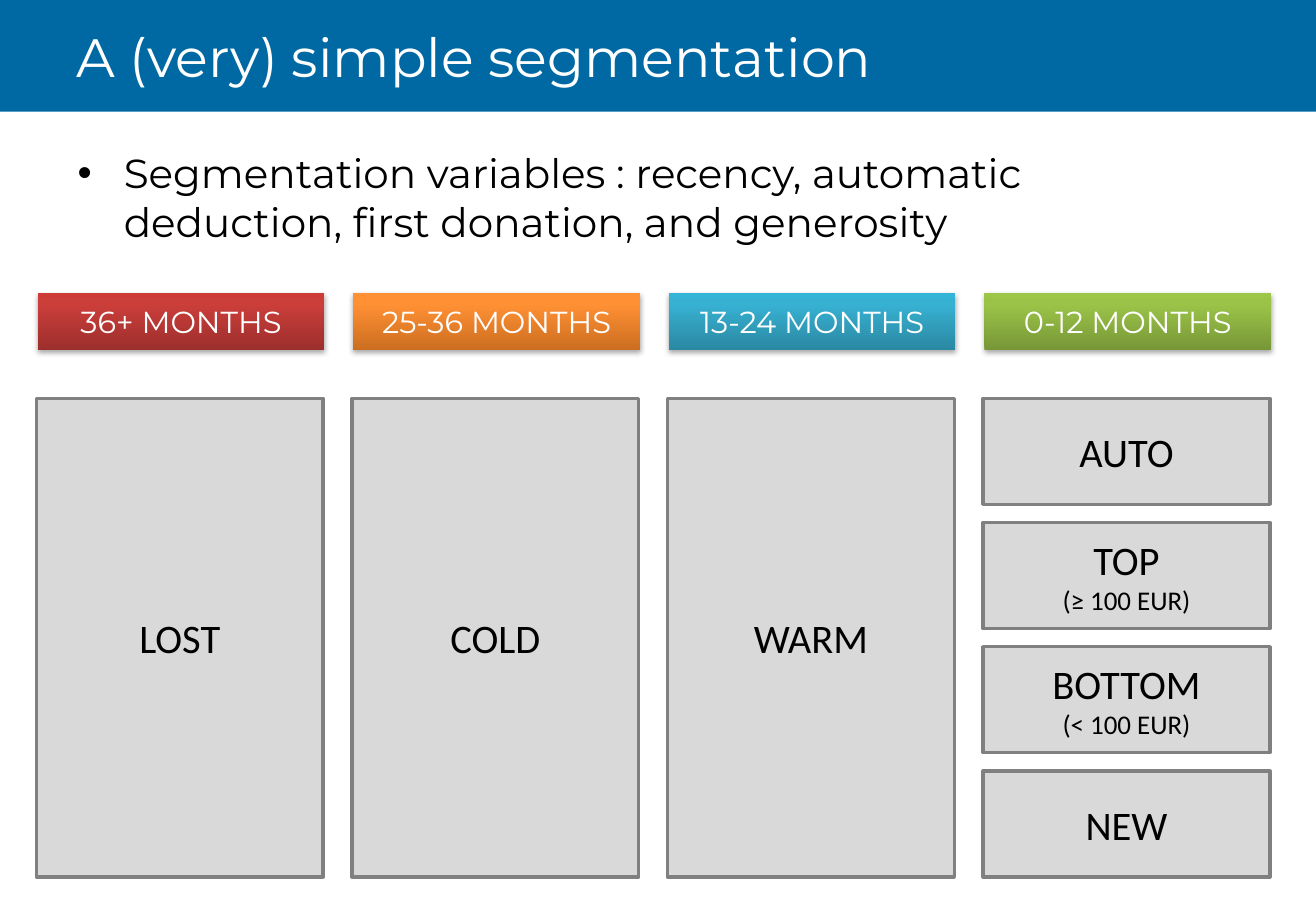
from dataclasses import dataclass

from pptx import Presentation
from pptx.dml.color import RGBColor
from pptx.enum.shapes import MSO_SHAPE
from pptx.enum.text import MSO_ANCHOR, MSO_AUTO_SIZE, PP_ALIGN
from pptx.oxml import parse_xml
from pptx.oxml.ns import nsdecls, qn
from pptx.shapes.autoshape import Shape
from pptx.slide import Slide
from pptx.util import Inches, Pt

BLUE = RGBColor(0x00, 0x68, 0xA2)
WHITE = RGBColor(0xFF, 0xFF, 0xFF)
BLACK = RGBColor(0x00, 0x00, 0x00)
LIGHT_GREY = RGBColor(0xD9, 0xD9, 0xD9)
MID_GREY = RGBColor(0x80, 0x80, 0x80)
RED_SHADES = (RGBColor(0x9C, 0x2F, 0x2D), RGBColor(0xCB, 0x3E, 0x3A), RGBColor(0xCE, 0x3B, 0x37))
ORANGE_SHADES = (RGBColor(0xCC, 0x6E, 0x20), RGBColor(0xFF, 0x90, 0x34), RGBColor(0xFF, 0x91, 0x36))
TEAL_SHADES = (RGBColor(0x2A, 0x88, 0xA2), RGBColor(0x37, 0xB1, 0xD2), RGBColor(0x34, 0xB4, 0xD6))
GREEN_SHADES = (RGBColor(0x77, 0x97, 0x37), RGBColor(0x9B, 0xC3, 0x48), RGBColor(0x9D, 0xC7, 0x46))
SHADE_STOPS = (0, 80, 100)

HEADING_FONT = "Montserrat"
SEGMENT_FONT = "Calibri"

PAGE_WIDTH, PAGE_HEIGHT, BAND_HEIGHT = 10.83, 7.5, 0.92
TEXT_WIDTH = 9.75
COLUMN_LEFT, COLUMN_PITCH, COLUMN_WIDTH = 0.3, 2.597, 2.36
HEADER_TOP, HEADER_HEIGHT = 2.41, 0.47
SEGMENT_TOP, SEGMENT_AREA, SEGMENT_GAP = 3.28, 3.94, 0.15


@dataclass(frozen=True)
class Segment:
    name: str
    detail: str = ""


@dataclass(frozen=True)
class Period:
    label: str
    shades: tuple[RGBColor, ...]
    segments: tuple[Segment, ...]


PERIODS = (
    Period("36+ MONTHS", RED_SHADES, (Segment("LOST"),)),
    Period("25-36 MONTHS", ORANGE_SHADES, (Segment("COLD"),)),
    Period("13-24 MONTHS", TEAL_SHADES, (Segment("WARM"),)),
    Period("0-12 MONTHS", GREEN_SHADES, (
        Segment("AUTO"),
        Segment("TOP", "(≥ 100 EUR)"),
        Segment("BOTTOM", "(< 100 EUR)"),
        Segment("NEW"),
    )),
)


def add_box(page: Slide, left: float, top: float, width: float, height: float) -> Shape:
    box = page.shapes.add_shape(
        MSO_SHAPE.RECTANGLE, Inches(left), Inches(top), Inches(width), Inches(height))
    box.shadow.inherit = False
    box.line.fill.background()
    box.text_frame.vertical_anchor = MSO_ANCHOR.MIDDLE
    return box


def write_line(box: Shape, text: str, size: float, font: str, color: RGBColor,
               align: PP_ALIGN = PP_ALIGN.CENTER, first: bool = True):
    frame = box.text_frame
    para = frame.paragraphs[0] if first else frame.add_paragraph()
    para.text = text
    para.alignment = align
    para.font.name = font
    para.font.size = Pt(size)
    para.font.color.rgb = color
    return para


def add_title(page: Slide) -> None:
    band = add_box(page, 0, 0, PAGE_WIDTH, BAND_HEIGHT)
    band.fill.solid()
    band.fill.fore_color.rgb = BLUE
    title = page.shapes.title
    title._element.addprevious(band._element)
    title.left, title.top = Inches(0.53), Inches(0)
    title.width, title.height = Inches(TEXT_WIDTH), Inches(BAND_HEIGHT)
    title.text_frame.vertical_anchor = MSO_ANCHOR.MIDDLE
    title.text_frame.auto_size = MSO_AUTO_SIZE.NONE
    write_line(title, "A (very) simple segmentation", 32, HEADING_FONT, WHITE, PP_ALIGN.LEFT)


def add_variables(page: Slide) -> None:
    box = page.shapes.add_textbox(Inches(0.54), Inches(1.07), Inches(TEXT_WIDTH), Inches(1.1))
    box.text_frame.word_wrap = True
    box.text_frame.vertical_anchor = MSO_ANCHOR.MIDDLE
    para = write_line(
        box, "Segmentation variables : recency, automatic deduction, first donation, and generosity",
        24, HEADING_FONT, BLACK, PP_ALIGN.LEFT)
    para.space_before = Pt(4.8)
    # Hanging bullet
    properties = para._p.get_or_add_pPr()
    properties.set("marL", str(Inches(0.38)))
    properties.set("indent", str(-Inches(0.38)))
    bullet_font = parse_xml(f'<a:buFont {nsdecls("a")} typeface="Arial"/>')
    bullet = parse_xml(f'<a:buChar {nsdecls("a")} char="•"/>')
    properties.insert_element_before(bullet_font, "a:buChar", "a:defRPr")
    properties.insert_element_before(bullet, "a:defRPr")


def shade_header(box: Shape, shades: tuple[RGBColor, ...]) -> None:
    box.fill.gradient()
    box.fill.gradient_angle = 90
    properties = box._element.spPr
    stops = "".join(
        f'<a:gs pos="{position * 1000}"><a:srgbClr val="{shade}"/></a:gs>'
        for position, shade in zip(SHADE_STOPS, shades))
    gradient = properties.find(qn("a:gradFill"))
    gradient.replace(gradient.find(qn("a:gsLst")),
                     parse_xml(f'<a:gsLst {nsdecls("a")}>{stops}</a:gsLst>'))
    # Soft shadow below the header
    properties.find(qn("a:effectLst")).append(parse_xml(
        f'<a:outerShdw {nsdecls("a")} blurRad="{Pt(3.1)}" dist="{Pt(1.8)}" dir="5400000" '
        'rotWithShape="0"><a:srgbClr val="000000"><a:alpha val="35000"/></a:srgbClr></a:outerShdw>'))


def add_period(page: Slide, period: Period, left: float) -> None:
    header = add_box(page, left + 0.01, HEADER_TOP, COLUMN_WIDTH, HEADER_HEIGHT)
    shade_header(header, period.shades)
    write_line(header, period.label, 18, HEADING_FONT, WHITE)

    # Segments share the column height equally
    count = len(period.segments)
    height = (SEGMENT_AREA - SEGMENT_GAP * (count - 1)) / count
    for row, segment in enumerate(period.segments):
        box = add_box(page, left, SEGMENT_TOP + row * (height + SEGMENT_GAP), COLUMN_WIDTH, height)
        box.fill.solid()
        box.fill.fore_color.rgb = LIGHT_GREY
        box.line.color.rgb = MID_GREY
        box.line.width = Pt(2)
        write_line(box, segment.name, 24, SEGMENT_FONT, BLACK)
        if segment.detail:
            write_line(box, segment.detail, 16, SEGMENT_FONT, BLACK, first=False)


def main() -> None:
    deck = Presentation()
    deck.slide_width, deck.slide_height = Inches(PAGE_WIDTH), Inches(PAGE_HEIGHT)
    page = deck.slides.add_slide(deck.slide_layouts[5])
    add_title(page)
    add_variables(page)
    for column, period in enumerate(PERIODS):
        add_period(page, period, COLUMN_LEFT + column * COLUMN_PITCH)
    deck.save("out.pptx")


if __name__ == "__main__":
    main()
